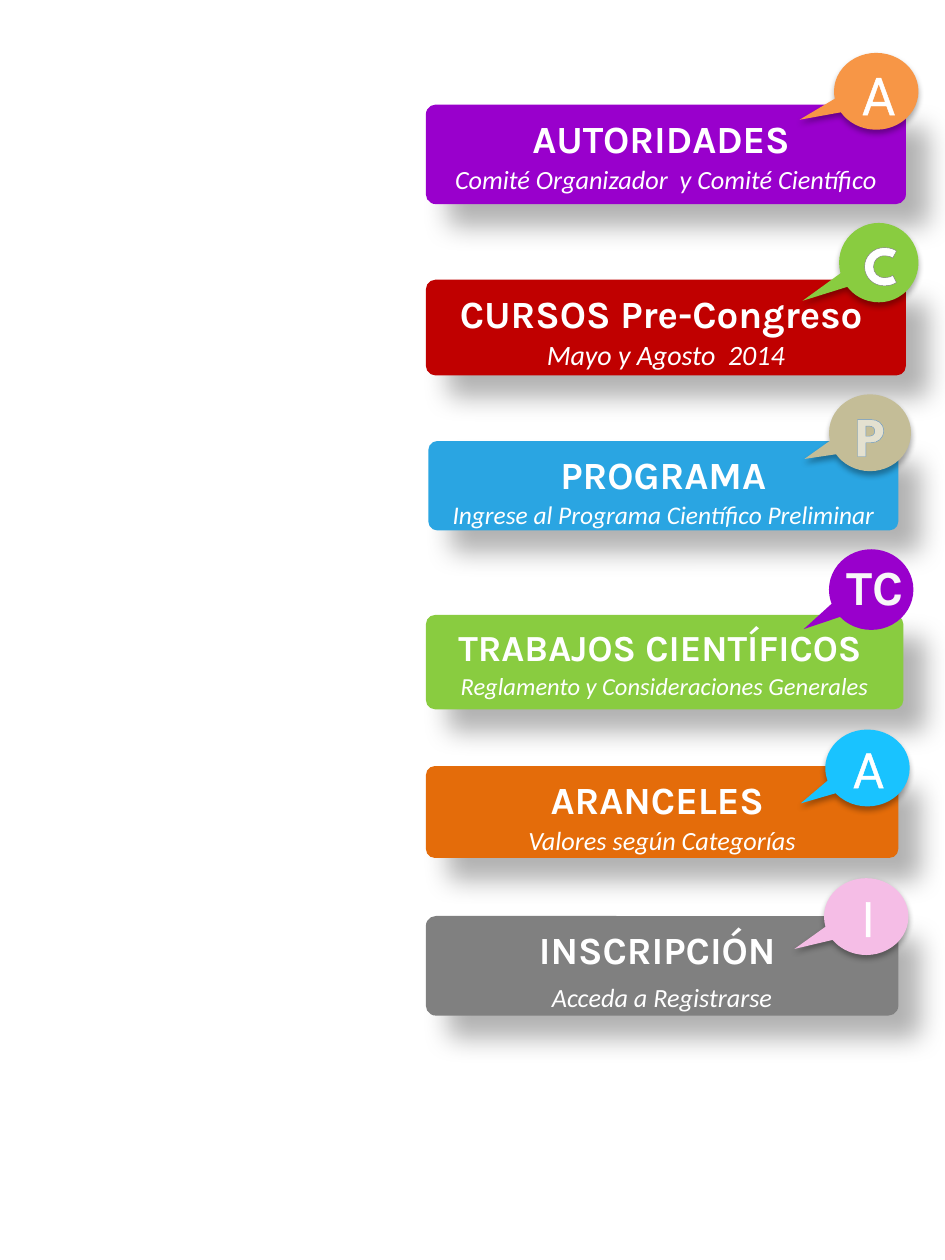
from lxml.etree import SubElement
from pptx import Presentation
from pptx.dml.color import RGBColor
from pptx.enum.shapes import MSO_SHAPE
from pptx.enum.text import MSO_ANCHOR, MSO_AUTO_SIZE, PP_ALIGN
from pptx.oxml.ns import qn
from pptx.util import Inches, Pt

COLORS = {
    "white": "FFFFFF", "soft_white": "F8F8F8", "black": "000000",
    "purple": "9900CC", "red": "C00000", "blue": "2AA5E2", "green": "89CC40",
    "dark_orange": "E46C0A", "gray": "808080", "orange": "F79646",
    "tan": "C4BD97", "cyan": "19C3FF", "pink": "F5BDE6",
    "letter_gray": "7D7D7D", "letter_blue": "1E7CEE",
}
# Shadows: opacity %, blur, distance (points), angle (degrees)
BANNER_SHADOW = (30, 15, 18, 45)
BADGE_SHADOW = (32, 3.5, 2.2, 90)
WHITE_EDGE = ("white", 1.45, 100)

# Boxes are left, top, width, height. The badge is placed from the banner's
# corner, and the letter from the badge's corner.
SECTIONS = [
    dict(box=(3.38, 0.83, 3.81, 0.79), color="purple",
         title="AUTORIDADES ", subtitle="Comité Organizador  y Comité Científico",
         badge=dict(box=(3.24, -0.41, 0.67, 0.61), tail=(-0.91, 0.37), color="orange"),
         letter=dict(text="A", box=(0.12, 0, 0.47, 0.64), edge=WHITE_EDGE)),
    dict(box=(3.38, 2.22, 3.81, 0.76), color="red",
         title="CURSOS Pre-Congreso ", subtitle="Mayo y Agosto  2014", subtitle_size=16,
         badge=dict(box=(3.28, -0.45, 0.63, 0.63), tail=(-0.96, 0.48), color="green"),
         letter=dict(text=" C", box=(-0.05, 0, 0.65, 0.64), bold=True, wrap=False,
                     edge=("letter_gray", 0.83, 100))),
    dict(box=(3.4, 3.5, 3.73, 0.71), color="blue",
         title="PROGRAMA", subtitle="Ingrese al Programa Científico Preliminar",
         subtitle_size=14.5,
         badge=dict(box=(3.18, -0.37, 0.65, 0.61), tail=(-0.8, 0.34), color="tan"),
         letter=dict(text="P", box=(0.08, 0, 0.5, 0.64), bold=True, wrap=False,
                     edge=("letter_blue", 0.07, 55))),
    dict(box=(3.38, 4.88, 3.79, 0.75), color="green",
         title="TRABAJOS CIENTÍFICOS ", title_size=21,
         subtitle="Reglamento y Consideraciones Generales", subtitle_size=14,
         badge=dict(box=(3.2, -0.52, 0.67, 0.64), tail=(-0.8, 0.49), color="purple",
                    shadow=None),
         letter=dict(text="TC", box=(-0.07, 0.01, 0.87, 0.57), size=28, font="Karla",
                     color="soft_white", bold=True)),
    dict(box=(3.38, 6.08, 3.75, 0.73), color="dark_orange",
         title="ARANCELES ", subtitle="Valores según Categorías",
         badge=dict(box=(3.17, -0.29, 0.67, 0.61), tail=(-0.79, 0.46), color="cyan"),
         letter=dict(text="A", box=(0.11, 0, 0.47, 0.61), size=30, edge=WHITE_EDGE)),
    dict(box=(3.38, 7.27, 3.75, 0.79), color="gray",
         title="INSCRIPCIÓN ", subtitle="Acceda a Registrarse", gap=5,
         badge=dict(box=(3.16, -0.3, 0.67, 0.61), tail=(-0.85, 0.42), color="pink"),
         letter=dict(text="I", box=(0.19, 0, 0.33, 0.61), size=30, wrap=False,
                     edge=WHITE_EDGE)),
]


def inside(parent, box):
    """Move a box by the corner of its parent."""
    return (parent[0] + box[0], parent[1] + box[1], box[2], box[3])


def add_color(parent, color, opacity):
    node = SubElement(parent, qn("a:srgbClr"), val=COLORS[color])
    if opacity < 100:
        SubElement(node, qn("a:alpha"), val=str(opacity * 1000))


def add_shadow(shape, opacity, blur, distance, angle):
    effects = shape._element.spPr.find(qn("a:effectLst"))
    outer = SubElement(effects, qn("a:outerShdw"), blurRad=str(Pt(blur)),
                       dist=str(Pt(distance)), dir=str(angle * 60000),
                       algn="tl", rotWithShape="0")
    add_color(outer, "black", opacity)


def add_preset(page, kind, box, color, adjustments, shadow):
    shape = page.shapes.add_shape(kind, *map(Inches, box))
    for index, value in enumerate(adjustments):
        shape.adjustments[index] = value
    shape.fill.solid()
    shape.fill.fore_color.rgb = RGBColor.from_string(COLORS[color])
    shape.line.fill.background()
    shape.shadow.inherit = False
    if shadow:
        add_shadow(shape, *shadow)
    return shape


def write(para, text, size=32, font="League Spartan", color="white", bold=False,
          italic=False, before=0, edge=None):
    para.alignment = PP_ALIGN.CENTER
    para.space_before = Pt(before)
    span = para.add_run()
    span.text = text
    span.font.size, span.font.name = Pt(size), font
    span.font.bold, span.font.italic = bold, italic
    span.font.color.rgb = RGBColor.from_string(COLORS[color])
    if edge:
        edge_color, width, opacity = edge
        properties = span.font._element
        line = SubElement(properties, qn("a:ln"), w=str(Pt(width)))
        add_color(SubElement(line, qn("a:solidFill")), edge_color, opacity)
        properties.insert(0, line)


def add_banner(page, box, color, title, subtitle, title_size=22, subtitle_size=15, gap=1):
    banner = add_preset(page, MSO_SHAPE.ROUNDED_RECTANGLE, box, color, [0.1], BANNER_SHADOW)
    frame = banner.text_frame
    frame.word_wrap = True
    frame.vertical_anchor = MSO_ANCHOR.TOP
    frame.margin_top = Inches(0.06)
    write(frame.paragraphs[0], title, size=title_size, font="Karla", bold=True)
    write(frame.add_paragraph(), subtitle, size=subtitle_size, font="Calibri",
          italic=True, before=gap)


def add_badge(page, box, color, tail, shadow=BADGE_SHADOW):
    add_preset(page, MSO_SHAPE.OVAL_CALLOUT, box, color, tail, shadow)


def add_letter(page, box, text, wrap=True, **style):
    frame = page.shapes.add_textbox(*map(Inches, box)).text_frame
    frame.word_wrap = wrap
    frame.auto_size = MSO_AUTO_SIZE.SHAPE_TO_FIT_TEXT
    write(frame.paragraphs[0], text, **style)


def add_section(page, badge, letter, **banner):
    add_banner(page, **banner)
    badge_box = inside(banner["box"], badge["box"])
    add_badge(page, **{**badge, "box": badge_box})
    add_letter(page, **{**letter, "box": inside(badge_box, letter["box"])})


deck = Presentation()
deck.slide_width, deck.slide_height = Inches(7.5), Inches(10)
menu_page = deck.slides.add_slide(deck.slide_layouts[6])
for section in SECTIONS:
    add_section(menu_page, **section)
deck.save("out.pptx")
